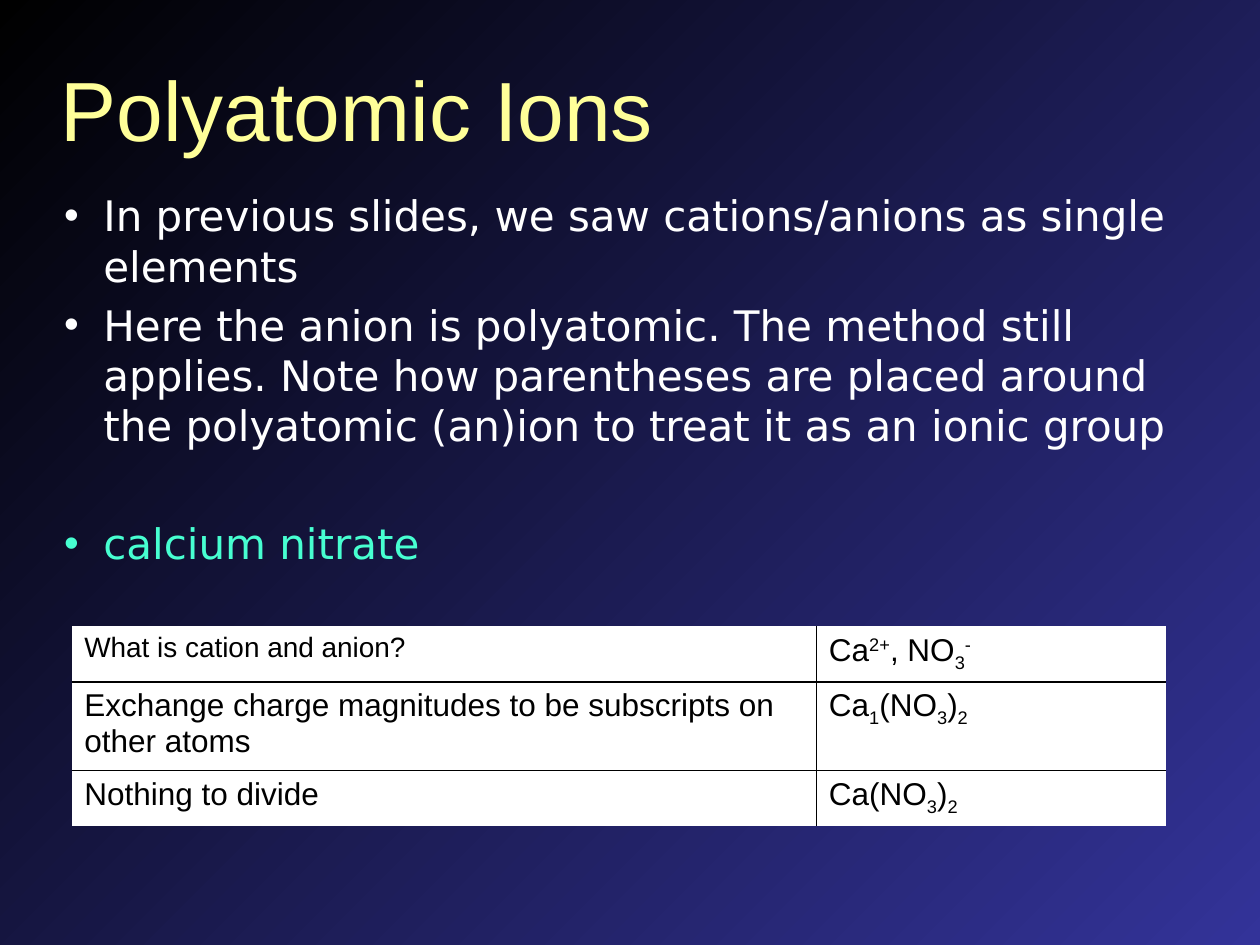
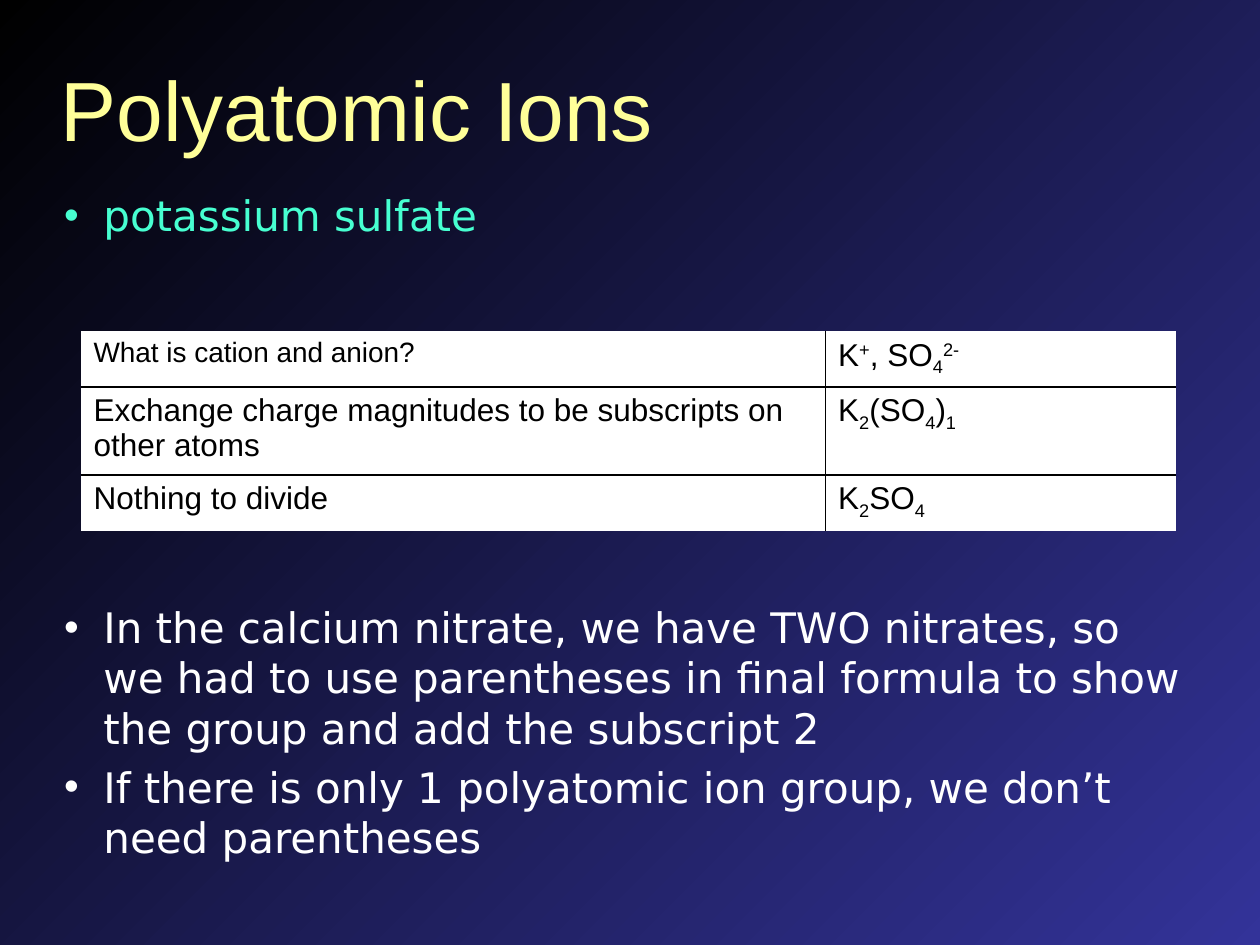
from lxml import etree
from pptx import Presentation
from pptx.dml.color import RGBColor
from pptx.enum.text import MSO_ANCHOR
from pptx.oxml.ns import qn
from pptx.util import Pt

MIDDLE = MSO_ANCHOR.MIDDLE
BLANK_LAYOUT = 6

BLACK, NAVY, WHITE = "000000", "333399", "FFFFFF"
TITLE_YELLOW, COMPOUND_GREEN = "FFFF99", "47FFD1"
TITLE_FONT, BODY_FONT = "Arial", "DejaVu Sans"

TITLE_BOX = (27.5, 29, 663, 65.5)
BODY_BOX = (29.5, 105, 660, 410)
BODY_SIZE = 24
BULLET_INDENT = 22.5
BULLET_GAP = 0.2 * BODY_SIZE
BODY_LINE = 1.2 * BODY_SIZE

COLUMN_WIDTHS = (425.5, 200)
ROW_HEIGHTS = (30, 47.5, 30)
STEPS = (
    ("What is cation and anion?", 16),
    ("Exchange charge magnitudes to be subscripts on other atoms", 18),
    ("Nothing to divide", 18),
)
BASELINES = {"_": "-25000", "^": "30000"}


def color(hex_value):
    return RGBColor.from_string(hex_value)


def set_font(paragraph, name, size, hex_value):
    font = paragraph.font
    font.name, font.size = name, Pt(size)
    font.color.rgb = color(hex_value)


def add_text_frame(slide, box):
    frame = slide.shapes.add_textbox(*map(Pt, box)).text_frame
    frame.word_wrap = True
    return frame


def add_title(slide, box, title):
    frame = add_text_frame(slide, box)
    frame.vertical_anchor = MIDDLE
    frame.text = title
    set_font(frame.paragraphs[0], TITLE_FONT, 48, TITLE_YELLOW)


def add_bullet(paragraph):
    props = paragraph._p.get_or_add_pPr()
    props.set("marL", str(Pt(BULLET_INDENT)))
    props.set("indent", str(-Pt(BULLET_INDENT)))
    etree.SubElement(props, qn("a:buFont")).set("typeface", TITLE_FONT)
    etree.SubElement(props, qn("a:buChar")).set("char", "•")


def add_bullets(slide, box, bullets):
    """Each bullet is its text, its colour and the number of lines left free above it."""
    frame = add_text_frame(slide, box)
    for index, (text, hex_value, free_lines) in enumerate(bullets):
        paragraph = frame.add_paragraph() if index else frame.paragraphs[0]
        paragraph.text = text
        add_bullet(paragraph)
        if index:
            gap = BULLET_GAP + free_lines * (BODY_LINE + BULLET_GAP)
            paragraph.space_before = Pt(round(gap, 2))
        set_font(paragraph, BODY_FONT, BODY_SIZE, hex_value)


def write_formula(paragraph, formula):
    """Parts are split by |; a leading _ lowers a part and a leading ^ raises it."""
    for part in formula.split("|"):
        baseline = BASELINES.get(part[0])
        run = paragraph.add_run()
        run.text = part[1:] if baseline else part
        if baseline:
            run._r.get_or_add_rPr().set("baseline", baseline)


def set_borders(cell, inner_sides):
    """Rule the inner sides in black and leave the outer sides open."""
    props = cell._tc.get_or_add_tcPr()
    for side in ("lnL", "lnR", "lnT", "lnB"):
        border = etree.SubElement(props, qn(f"a:{side}"), w=str(Pt(1)))
        if side in inner_sides:
            fill = etree.SubElement(border, qn("a:solidFill"))
            etree.SubElement(fill, qn("a:srgbClr"), val=BLACK)
        else:
            etree.SubElement(border, qn("a:noFill"))


def add_formula_table(slide, left, top, formulas):
    frame = slide.shapes.add_table(
        len(STEPS), len(COLUMN_WIDTHS), Pt(left), Pt(top),
        Pt(sum(COLUMN_WIDTHS)), Pt(sum(ROW_HEIGHTS)))
    table = frame.table
    table.first_row = table.horz_banding = False
    for column, width in zip(table.columns, COLUMN_WIDTHS):
        column.width = Pt(width)
    for row, height in zip(table.rows, ROW_HEIGHTS):
        row.height = Pt(height)

    for row, ((step, step_size), formula) in enumerate(zip(STEPS, formulas)):
        row_sides = {"lnT"} if row else set()
        if row < len(STEPS) - 1:
            row_sides.add("lnB")
        entries = ((step, step_size, "lnR"), (formula, 18, "lnL"))
        for column, (text, size, column_side) in enumerate(entries):
            cell = table.cell(row, column)
            set_borders(cell, row_sides | {column_side})
            cell.fill.solid()
            cell.fill.fore_color.rgb = color(WHITE)
            paragraph = cell.text_frame.paragraphs[0]
            write_formula(paragraph, text)
            set_font(paragraph, TITLE_FONT, size, BLACK)


def add_ion_slide(deck, bullets, table_corner, formulas):
    slide = deck.slides.add_slide(deck.slide_layouts[BLANK_LAYOUT])
    background = slide.background.fill
    background.gradient()
    background.gradient_angle = 315
    for stop, hex_value in zip(background.gradient_stops, (BLACK, NAVY)):
        stop.color.rgb = color(hex_value)
    add_title(slide, TITLE_BOX, "Polyatomic Ions")
    add_bullets(slide, BODY_BOX, bullets)
    add_formula_table(slide, *table_corner, formulas)


def main():
    deck = Presentation()
    deck.slide_width, deck.slide_height = Pt(720), Pt(540)
    add_ion_slide(
        deck,
        (("In previous slides, we saw cations/anions as single elements", WHITE, 0),
         ("Here the anion is polyatomic. The method still applies. Note how "
          "parentheses are placed around the polyatomic (an)ion to treat it "
          "as an ionic group", WHITE, 0),
         ("calcium nitrate", COMPOUND_GREEN, 1)),
        (41, 358),
        ("Ca|^2+|, NO|_3|^-", "Ca|_1|(NO|_3|)|_2", "Ca(NO|_3|)|_2"))
    add_ion_slide(
        deck,
        (("potassium sulfate", COMPOUND_GREEN, 0),
         ("In the calcium nitrate, we have TWO nitrates, so we had to use "
          "parentheses in final formula to show the group and add the "
          "subscript 2", WHITE, 6),
         ("If there is only 1 polyatomic ion group, we don’t need parentheses",
          WHITE, 0)),
        (46.25, 189.25),
        ("K|^+|, SO|_4|^2-", "K|_2|(SO|_4|)|_1", "K|_2|SO|_4"))
    deck.save("out.pptx")


if __name__ == "__main__":
    main()
